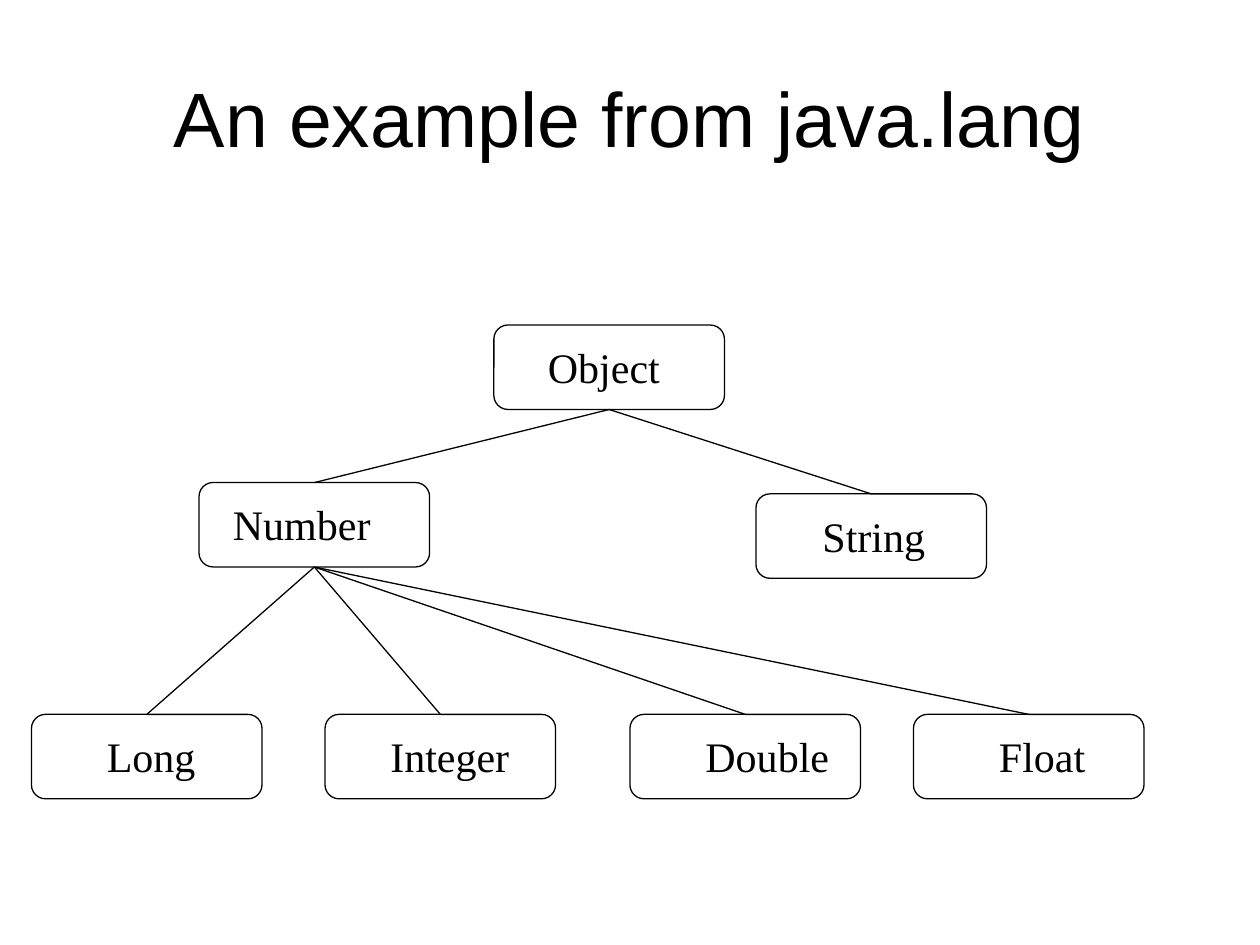
from lxml import etree
from pptx import Presentation
from pptx.dml.color import RGBColor
from pptx.enum import shapes, text
from pptx.oxml import ns
from pptx.util import Inches, Pt

BLACK = RGBColor(0x00, 0x00, 0x00)
WHITE = RGBColor(0xFF, 0xFF, 0xFF)
WIDE, HIGH = 1.83, 0.67  # class box size
DROP = 0.08  # label top below box top
LEFT, MID = text.PP_ALIGN.LEFT, text.PP_ALIGN.CENTER

# Class name: parent, box left, box top, label left, label width, alignment
TREE = {
    "Object": (None, 3.92, 2.58, 4.25, 1.12, LEFT),
    "Number": ("Object", 1.58, 3.83, 1.75, 1.32, LEFT),
    "String": ("Object", 6, 3.92, 6.41, 1.05, MID),
    "Long": ("Number", 0.25, 5.67, 0.75, 0.94, LEFT),
    "Integer": ("Number", 2.58, 5.67, 3, 1.18, LEFT),
    "Double": ("Number", 5, 5.67, 5.5, 1.21, LEFT),
    "Float": ("Number", 7.25, 5.67, 7.83, 0.92, LEFT),
}


def style(para, name, size, align):
    para.alignment = align
    para.font.name = name
    para.font.size = Pt(size)
    para.font.color.rgb = BLACK


def set_line(line):
    line.color.rgb = BLACK
    line.width = Pt(0.75)


def add_title(slide, words):
    title = slide.shapes.title
    title.left, title.top = Inches(0.5), Inches(0.3)
    title.width, title.height = Inches(9), Inches(1.25)
    frame = title.text_frame
    frame.text = words
    frame.vertical_anchor = text.MSO_ANCHOR.MIDDLE
    style(frame.paragraphs[0], "Arial", 44, MID)


def add_box(slide, left, top):
    box = slide.shapes.add_shape(
        shapes.MSO_SHAPE.FLOWCHART_ALTERNATE_PROCESS,
        Inches(left), Inches(top), Inches(WIDE), Inches(HIGH))
    box.shadow.inherit = False
    box.fill.background()
    set_line(box.line)
    return box


def add_link(slide, parent, child):
    link = slide.shapes.add_connector(
        shapes.MSO_CONNECTOR.STRAIGHT, 0, 0, 0, 0)
    link.begin_connect(parent, 2)
    link.end_connect(child, 0)
    set_line(link.line)
    etree.SubElement(link._element.spPr, ns.qn("a:effectLst"))


def add_label(slide, words, left, top, width, align):
    label = slide.shapes.add_textbox(
        Inches(left), Inches(top), Inches(width), Inches(0.5))
    frame = label.text_frame
    frame.word_wrap = False
    frame.text = words
    style(frame.paragraphs[0], "Times New Roman", 24, align)


def main():
    deck = Presentation()
    deck.slide_width, deck.slide_height = Inches(10), Inches(7.5)
    slide = deck.slides.add_slide(deck.slide_layouts[5])
    slide.background.fill.solid()
    slide.background.fill.fore_color.rgb = WHITE
    add_title(slide, "An example from java.lang")

    # Class boxes
    boxes = {name: add_box(slide, left, top)
             for name, (_, left, top, *_) in TREE.items()}

    # Lines from parent to child
    for name, (parent, *_) in TREE.items():
        if parent:
            add_link(slide, boxes[parent], boxes[name])

    # Class names
    for name, (_, _, top, left, width, align) in TREE.items():
        add_label(slide, name, left, top + DROP, width, align)

    deck.save("out.pptx")


if __name__ == "__main__":
    main()
